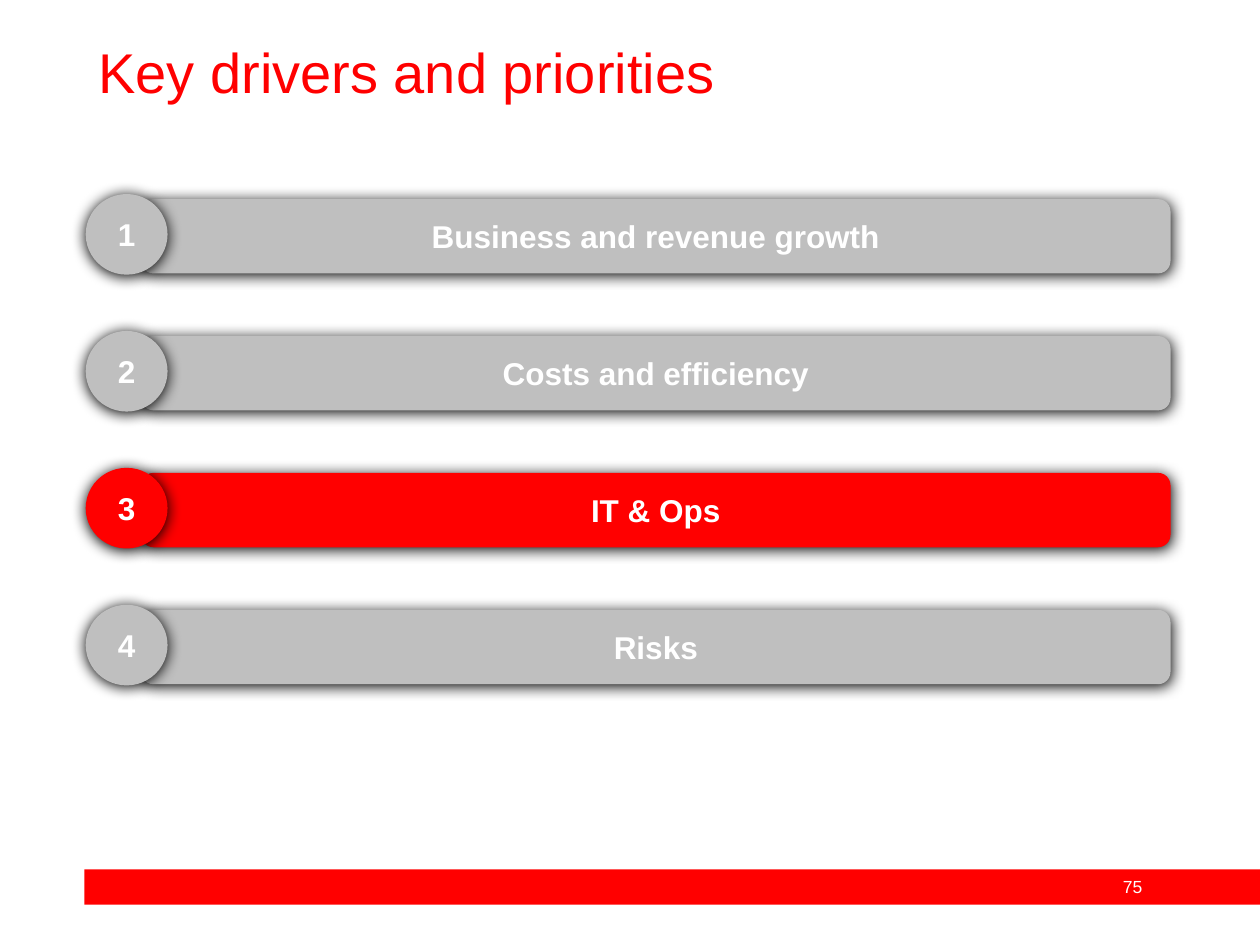
from dataclasses import dataclass

from lxml.etree import SubElement
from pptx import Presentation
from pptx.dml.color import RGBColor
from pptx.enum.shapes import MSO_SHAPE
from pptx.enum.text import MSO_ANCHOR, MSO_AUTO_SIZE, PP_ALIGN
from pptx.oxml.ns import qn
from pptx.shapes.autoshape import Shape
from pptx.slide import Slide
from pptx.util import Inches, Pt

COLORS = {"red": "FF0000", "gray": "BFBFBF", "white": "FFFFFF", "black": "000000"}
FONT = "Arial"
FIRST_TOP = 1.54
LAST_TOP = 4.8


@dataclass
class Driver:
    label: str
    color: str = "gray"


DRIVERS = [
    Driver("Business and revenue growth"),
    Driver("Costs and efficiency"),
    Driver("IT & Ops", "red"),
    Driver("Risks"),
]


def write_text(shape: Shape, text: str, size: float, color: str,
               alignment: PP_ALIGN = PP_ALIGN.CENTER, bold: bool = False) -> None:
    shape.text_frame.word_wrap = True
    paragraph = shape.text_frame.paragraphs[0]
    paragraph.text = text
    paragraph.alignment = alignment
    font = paragraph.font
    font.name = FONT
    font.size = Pt(size)
    font.bold = bold
    font.color.rgb = RGBColor.from_string(COLORS[color])


def paint(shape: Shape, color: str) -> None:
    shape.fill.solid()
    shape.fill.fore_color.rgb = RGBColor.from_string(COLORS[color])
    shape.line.fill.background()
    shape.shadow.inherit = False


def add_soft_shadow(shape: Shape) -> None:
    effects = shape._element.spPr.find(qn("a:effectLst"))
    shadow = SubElement(effects, qn("a:outerShdw"), blurRad=str(Pt(8.5)),
                        dist=str(Pt(1)), dir="5400000", rotWithShape="0")
    SubElement(shadow, qn("a:srgbClr"), val=COLORS["black"])


def add_driver(slide: Slide, number: int, driver: Driver, top: float) -> None:
    group = slide.shapes.add_group_shape()
    bar = group.shapes.add_shape(MSO_SHAPE.ROUNDED_RECTANGLE, Inches(1.12),
                                 Inches(top + 0.04), Inches(8.17), Inches(0.59))
    badge = group.shapes.add_shape(MSO_SHAPE.OVAL, Inches(0.68), Inches(top),
                                   Inches(0.65), Inches(0.64))
    for shape, text in ((bar, driver.label), (badge, str(number))):
        paint(shape, driver.color)
        add_soft_shadow(shape)
        shape.text_frame.vertical_anchor = MSO_ANCHOR.MIDDLE
        write_text(shape, text, 18, "white", bold=True)


def add_title(slide: Slide, text: str) -> None:
    title = slide.shapes.title
    title.left, title.top = Inches(0.68), Inches(0.31)
    title.width, title.height = Inches(8.62), Inches(0.57)
    title.text_frame.auto_size = MSO_AUTO_SIZE.NONE
    title.text_frame.vertical_anchor = MSO_ANCHOR.TOP
    write_text(title, text, 32, "red", PP_ALIGN.LEFT)
    title.text_frame.paragraphs[0].line_spacing = 0.9


def add_footer(slide: Slide, page: int) -> None:
    band = slide.shapes.add_shape(MSO_SHAPE.RECTANGLE, Inches(0.67), Inches(6.9),
                                  Inches(9.33), Inches(0.28))
    paint(band, "red")
    page_number = slide.shapes.add_textbox(Inches(8.71), Inches(6.9),
                                           Inches(0.56), Inches(0.27))
    write_text(page_number, str(page), 10, "white")


def main() -> None:
    presentation = Presentation()
    presentation.slide_width = Inches(10)
    presentation.slide_height = Inches(7.5)
    slide = presentation.slides.add_slide(presentation.slide_layouts[5])
    add_footer(slide, 75)
    add_title(slide, "Key drivers and priorities")
    pitch = (LAST_TOP - FIRST_TOP) / (len(DRIVERS) - 1)
    for index, driver in enumerate(DRIVERS):
        add_driver(slide, index + 1, driver, FIRST_TOP + index * pitch)
    presentation.save("out.pptx")


if __name__ == "__main__":
    main()
